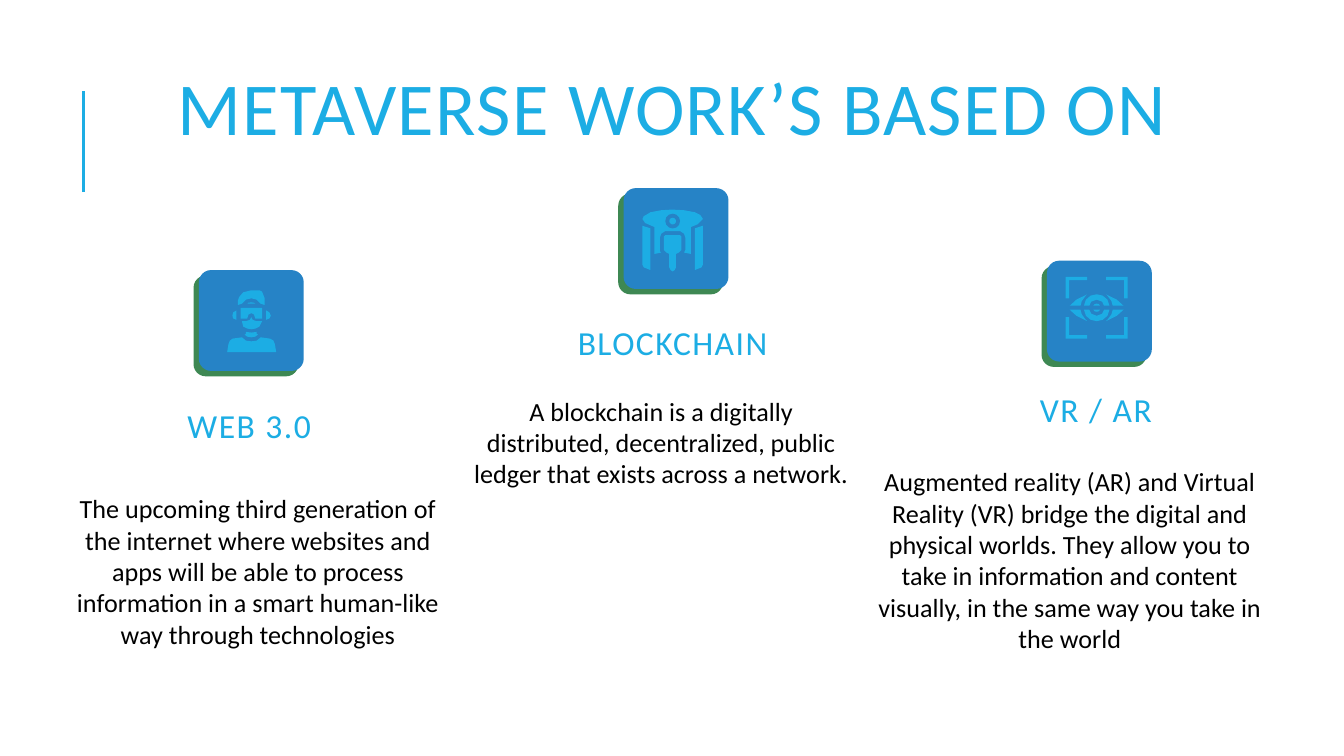
import pptx
import pptx.util
import pptx.dml.color
import pptx.enum.shapes
import pptx.enum.text
import pptx.oxml.ns
import lxml.etree

Inches = pptx.util.Inches
shape_kinds = pptx.enum.shapes.MSO_SHAPE
colours = {"accent": "1CADE4", "tile": "2683C6", "edge": "3E8853", "body": "000000"}

deck = pptx.Presentation()
deck.slide_width = Inches(10)
deck.slide_height = Inches(10) * 9 // 16
slide = deck.slides.add_slide(deck.slide_layouts[5])
shapes = slide.shapes


def paint(item, colour):
    item.shadow.inherit = False
    item.fill.solid()
    item.fill.fore_color.rgb = pptx.dml.color.RGBColor.from_string(colours[colour])
    item.line.fill.background()


def write(box, text, place, size, colour, heading):
    box.left, box.top, box.width, box.height = map(Inches, place)
    frame = box.text_frame
    frame.text = text
    frame_format = {
        "word_wrap": True,
        "auto_size": pptx.enum.text.MSO_AUTO_SIZE.NONE,
        "vertical_anchor": pptx.enum.text.MSO_ANCHOR.MIDDLE,
        **{f"margin_{side}": Inches(0.1) for side in ("left", "right", "top", "bottom")},
    }
    for name, value in frame_format.items():
        setattr(frame, name, value)
    paragraph = frame.paragraphs[0]
    paragraph.alignment = pptx.enum.text.PP_ALIGN.CENTER
    run = paragraph.runs[0]
    for name, value in {"name": "Calibri", "size": pptx.util.Pt(size)}.items():
        setattr(run.font, name, value)
    run.font.color.rgb = pptx.dml.color.RGBColor.from_string(colours[colour])
    if heading:
        paragraph.line_spacing = 0.8
        run.font._element.set("spc", "80")


rule = shapes.add_connector(pptx.enum.shapes.MSO_CONNECTOR.STRAIGHT,
                            Inches(0.62), Inches(1.43), Inches(0.62), Inches(0.68))
rule.line.color.rgb = pptx.dml.color.RGBColor.from_string(colours["accent"])
rule.line.width = pptx.util.Pt(1.5)
lxml.etree.SubElement(rule._element.spPr, pptx.oxml.ns.qn("a:effectLst"))

write(shapes.title, "METAVERSE WORK’S BASED ON", (0.79, 0.59, 8.43, 0.52), 40, "accent", True)

person = [
    [(31, 28), (47, 28), (47, 36), (42, 36), (41, 33), (39, 32), (37, 33), (36, 36), (31, 36)],
    [(35, 46), (39, 46.5), (43, 46), (43, 47.5), (44, 48), (42, 49.5), (39, 50), (36, 49.5),
     (34, 48), (35, 47.5)],
    [(36, 25), (37, 24.2), (39, 24), (41, 24.2), (42, 25)],
    [(50, 30), (52.5, 31.5), (53.5, 34), (52.5, 36), (50, 37)],
    [(28, 30), (25.5, 31.5), (25, 34), (25.5, 36), (28, 37)],
    [(32, 38), (35, 38), (38, 37), (39, 35), (40, 37), (43, 38), (47, 38), (45, 42),
     (42, 43.5), (39, 44), (36, 43.5), (33, 42)],
    [(32, 50), (35, 52.5), (39, 53), (43, 52.5), (46, 50), (53, 51), (55.5, 52.5),
     (56.5, 55), (57.5, 61), (21, 61), (22, 55), (23, 52.5), (25, 51)],
    [(29, 26), (29, 23), (30, 20), (33, 16.5), (39, 15), (45, 15), (47, 16), (49, 21),
     (49, 26), (46, 25), (43, 22), (39, 21), (35, 22), (32, 25)],
]
booth = [
    [(53, 30), (59, 28), (59, 57), (58, 59), (53, 61)],
    [(14, 28), (20, 30), (20, 61), (15, 59), (14, 57)],
    [(23, 29), (23, 49), (28, 48), (27, 47), (27, 37), (28, 34), (31, 32), (42, 32),
     (45, 34), (46, 37), (46, 46), (45, 48), (50, 49), (50, 29), (55, 27), (59, 23),
     (57, 20), (53, 18), (45, 16.5), (36, 16), (28, 16.5), (20, 18), (15, 21), (14, 23),
     (16, 26)],
    [(31, 35), (42, 35), (43, 36), (43, 46), (41, 48), (39, 49), (39, 59), (38, 61),
     (36.5, 62), (35, 61), (34, 59), (34, 49), (32, 48), (30, 46), (30, 36)],
]
bracket = [(-23, -23), (-7, -23), (-7, -20.5), (-20.5, -20.5), (-20.5, -7), (-23, -7)]
eye_corner = [(-7, -10), (-15, -6), (-20, -1.5), (-12, -1.5), (-11, -5), (-8, -9)]
iris = [(-9.5, -1.5), (-8, -6), (-4.5, -9), (0, -10), (4.5, -9), (8, -6), (9.5, -1.5),
        (5.5, -1.5), (4, -4.5), (0, -6), (-4, -4.5), (-5.5, -1.5)]
pupil = [(-2.5, -1.5), (-1.5, -2.7), (0, -3), (1.5, -2.7), (2.5, -1.5)]
eye = []
for flip_y in (1, -1):
    for part, flips in ((bracket, (1, -1)), (eye_corner, (1, -1)), (iris, (1,)), (pupil, (1,))):
        for flip_x in flips:
            eye.append([(37 + flip_x * x, 35 + flip_y * y) for x, y in part])

topics = [
    ("BLOCKCHAIN", (3.94, 2.28),
     "A blockchain is a digitally distributed, decentralized, public ledger that exists "
     "across a network.", (3.42, 2.69, 3, 1.2), (4.64, 1.4), booth),
    ("WEB 3.0", (0.79, 2.9),
     "The upcoming third generation of the internet where websites and apps will be able to "
     "process information in a smart human-like way through technologies",
     (0.42, 3.11, 3, 2.28), (1.48, 2.01), person),
    ("VR / AR", (7.09, 2.78),
     "Augmented reality (AR) and Virtual Reality (VR) bridge the digital and physical worlds. "
     "They allow you to take in information and content visually, in the same way you take in "
     "the world", (6.42, 2.94, 3.08, 2.45), (7.79, 1.94), eye),
]
for heading, heading_at, summary, summary_place, (left, top), icon in topics:
    write(shapes.add_textbox(0, 0, 0, 0), heading, (*heading_at, 2.13, 0.58), 18, "accent", True)
    write(shapes.add_textbox(0, 0, 0, 0), summary, summary_place, 14, "body", False)
    for shift, colour in ((0.04, "edge"), (0, "tile")):
        tile = shapes.add_shape(shape_kinds.ROUNDED_RECTANGLE, Inches(left - shift),
                                Inches(top + shift), Inches(0.78), Inches(0.75))
        tile.adjustments[0] = 0.12
        paint(tile, colour)
    for part in icon:
        points = [(x * 10, y * 10) for x, y in part]
        outline = shapes.build_freeform(*points[0], scale=Inches(1) / 1000)
        outline.add_line_segments(points[1:], close=True)
        paint(outline.convert_to_shape(Inches(left), Inches(top)), "accent")
    if icon is booth:
        for inset, size, colour in ((0, 0.11, "tile"), (0.03, 0.05, "accent")):
            head = shapes.add_shape(shape_kinds.OVAL, Inches(left + 0.31 + inset),
                                    Inches(top + 0.19 + inset), Inches(size), Inches(size))
            paint(head, colour)

deck.save("out.pptx")
